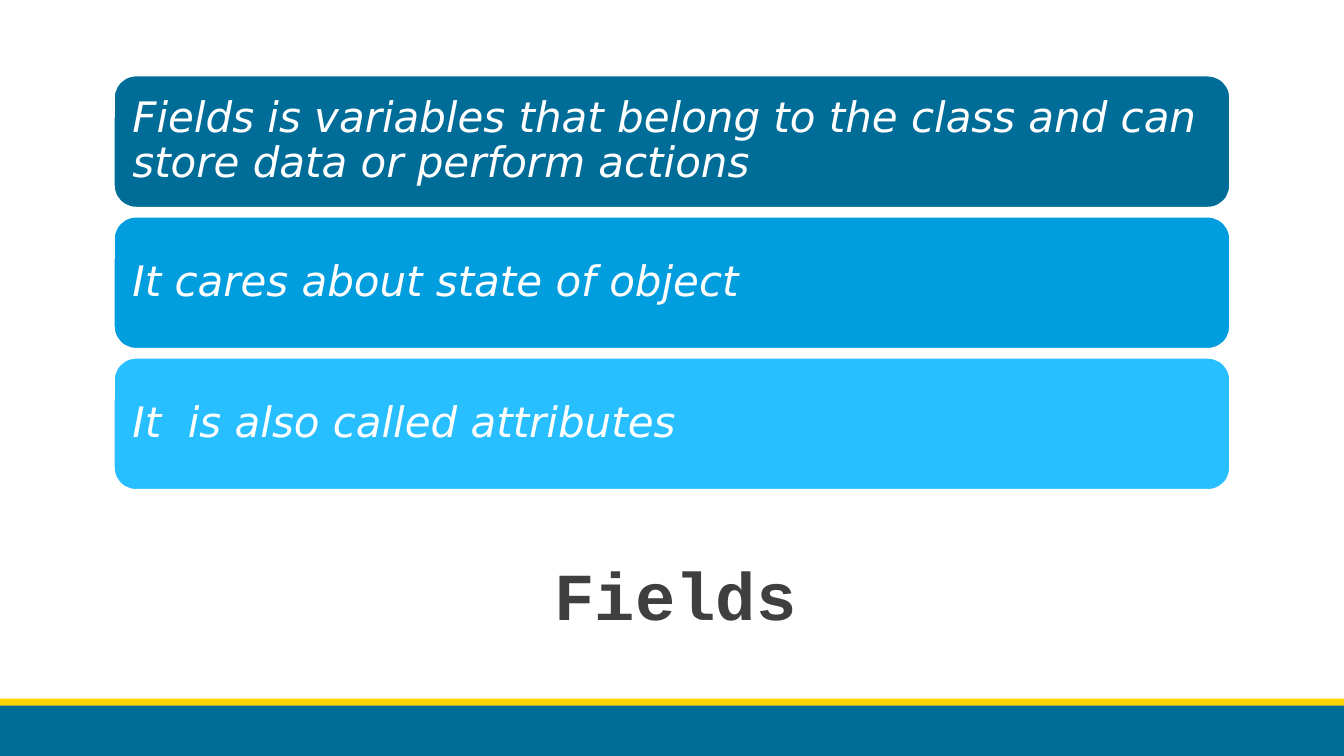
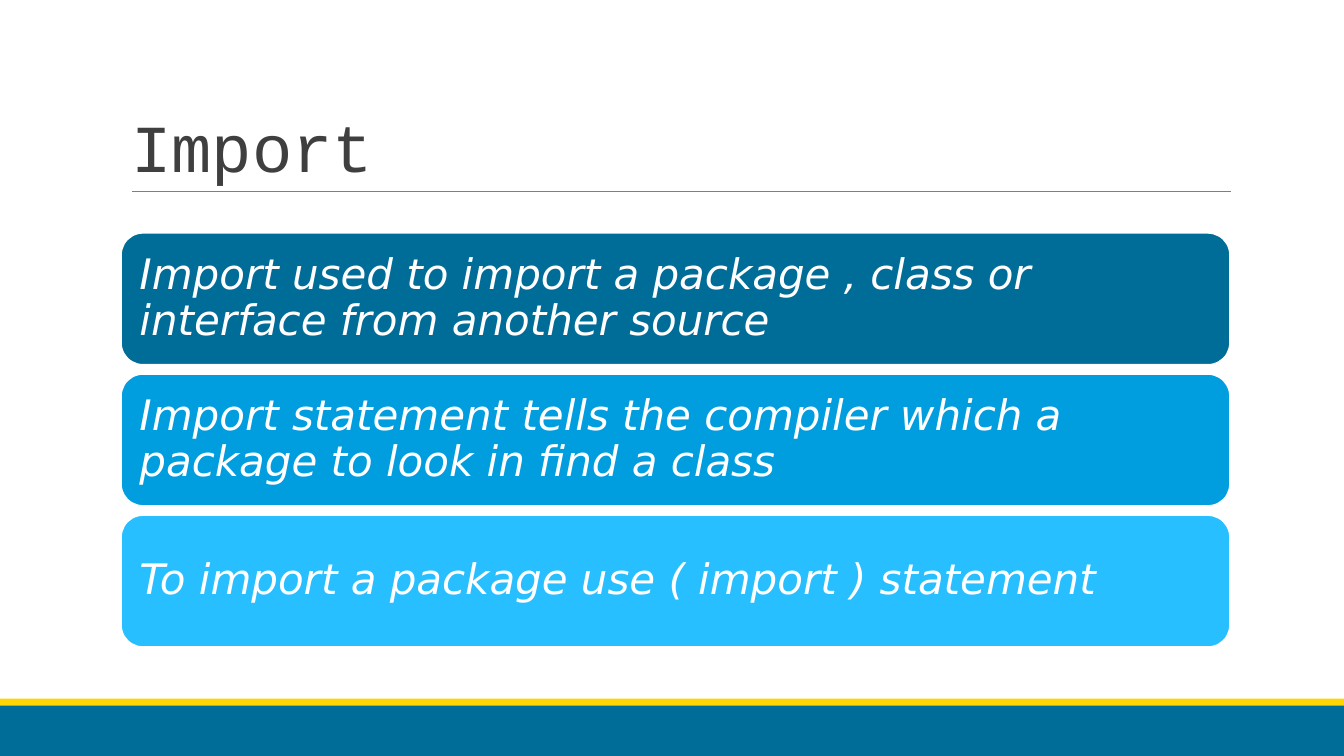
from lxml import etree
from pptx import Presentation
from pptx.dml.color import RGBColor
from pptx.enum import shapes, text
from pptx.oxml.ns import qn
from pptx.util import Inches, Pt

WHITE = RGBColor(0xFF, 0xFF, 0xFF)
DARK_BLUE = RGBColor(0x00, 0x6C, 0x98)
BLUE = RGBColor(0x00, 0x9D, 0xDF)
LIGHT_BLUE = RGBColor(0x27, 0xBF, 0xFF)
YELLOW = RGBColor(0xFF, 0xD5, 0x03)
TITLE_GREY = RGBColor(0x3F, 0x3F, 0x3F)
RULE_GREY = RGBColor(0x7F, 0x7F, 0x7F)

TITLE_FONT, BODY_FONT = "Courier New", "DejaVu Sans"
WIDTH, HEIGHT = 13.33, 7.5
BAR_HEIGHT, BAR_PITCH = 1.31, 1.4
BAR_COLOURS = [DARK_BLUE, BLUE, LIGHT_BLUE]
BANDS = [(6.93, 0.08, YELLOW), (7, 0.5, DARK_BLUE)]  # top, height, colour

SLIDES = [
    dict(title="Fields", title_box=(1.2, 5.3, 11, 1.3), bold=True, rule=False,
         align=text.PP_ALIGN.CENTER, anchor=text.MSO_ANCHOR.MIDDLE,
         bars_at=(1.13, 0.75), bar_width=11.07,
         bars=["Fields is variables that belong to the class and can store data or perform actions",
               "It cares about state of object",
               "It  is also called attributes"]),
    dict(title="Import", title_box=(1.2, 0.31, 11, 1.59), bold=False, rule=True,
         align=text.PP_ALIGN.LEFT, anchor=text.MSO_ANCHOR.BOTTOM,
         bars_at=(1.2, 2.31), bar_width=11,
         bars=["Import used to import a package , class or interface from another source",
               "Import statement tells the compiler which a package to look in find a class",
               "To import a package use ( import ) statement"]),
]


def add_filled(s, kind, left, top, width, height, colour):
    sp = s.shapes.add_shape(kind, Inches(left), Inches(top), Inches(width), Inches(height))
    sp.shadow.inherit = False
    sp.fill.solid()
    sp.fill.fore_color.rgb = colour
    sp.line.fill.background()
    return sp


def style_text(tf, font, size, colour, spacing, align, anchor):
    tf.word_wrap = True
    tf.auto_size = text.MSO_AUTO_SIZE.NONE
    tf.vertical_anchor = anchor
    p = tf.paragraphs[0]
    p.alignment = align
    p.line_spacing = spacing
    r = p.runs[0]
    r.font.name = font
    r.font.size = Pt(size)
    r.font.color.rgb = colour
    return r


prs = Presentation()
prs.slide_width, prs.slide_height = Inches(WIDTH), Inches(HEIGHT)
title_only = prs.slide_layouts[5]

for content in SLIDES:
    s = prs.slides.add_slide(title_only)
    for top, height, colour in BANDS:
        add_filled(s, shapes.MSO_SHAPE.RECTANGLE, 0, top, WIDTH, height, colour)

    title = s.shapes.title
    title.left, title.top, title.width, title.height = map(Inches, content["title_box"])
    title.text_frame.text = content["title"]
    r = style_text(title.text_frame, TITLE_FONT, 48, TITLE_GREY, 0.85,
                   content["align"], content["anchor"])
    r.font.bold = content["bold"]

    if content["rule"]:
        rule = s.shapes.add_connector(shapes.MSO_CONNECTOR.STRAIGHT, Inches(1.31), Inches(1.9),
                                      Inches(12.21), Inches(1.9))
        rule.line.color.rgb = RULE_GREY
        rule.line.width = Pt(0.75)
        etree.SubElement(rule._element.spPr, qn("a:effectLst"))

    left, top = content["bars_at"]
    for i, (wording, colour) in enumerate(zip(content["bars"], BAR_COLOURS)):
        bar = add_filled(s, shapes.MSO_SHAPE.ROUNDED_RECTANGLE, left, top + i * BAR_PITCH,
                         content["bar_width"], BAR_HEIGHT, colour)
        bar.line.color.rgb = WHITE
        bar.line.width = Pt(1.25)
        tf = bar.text_frame
        tf.margin_left = tf.margin_right = tf.margin_top = tf.margin_bottom = Inches(0.12)
        tf.text = wording
        r = style_text(tf, BODY_FONT, 30, WHITE, 0.9,
                       text.PP_ALIGN.LEFT, text.MSO_ANCHOR.MIDDLE)
        r.font.italic = True

prs.save("out.pptx")
